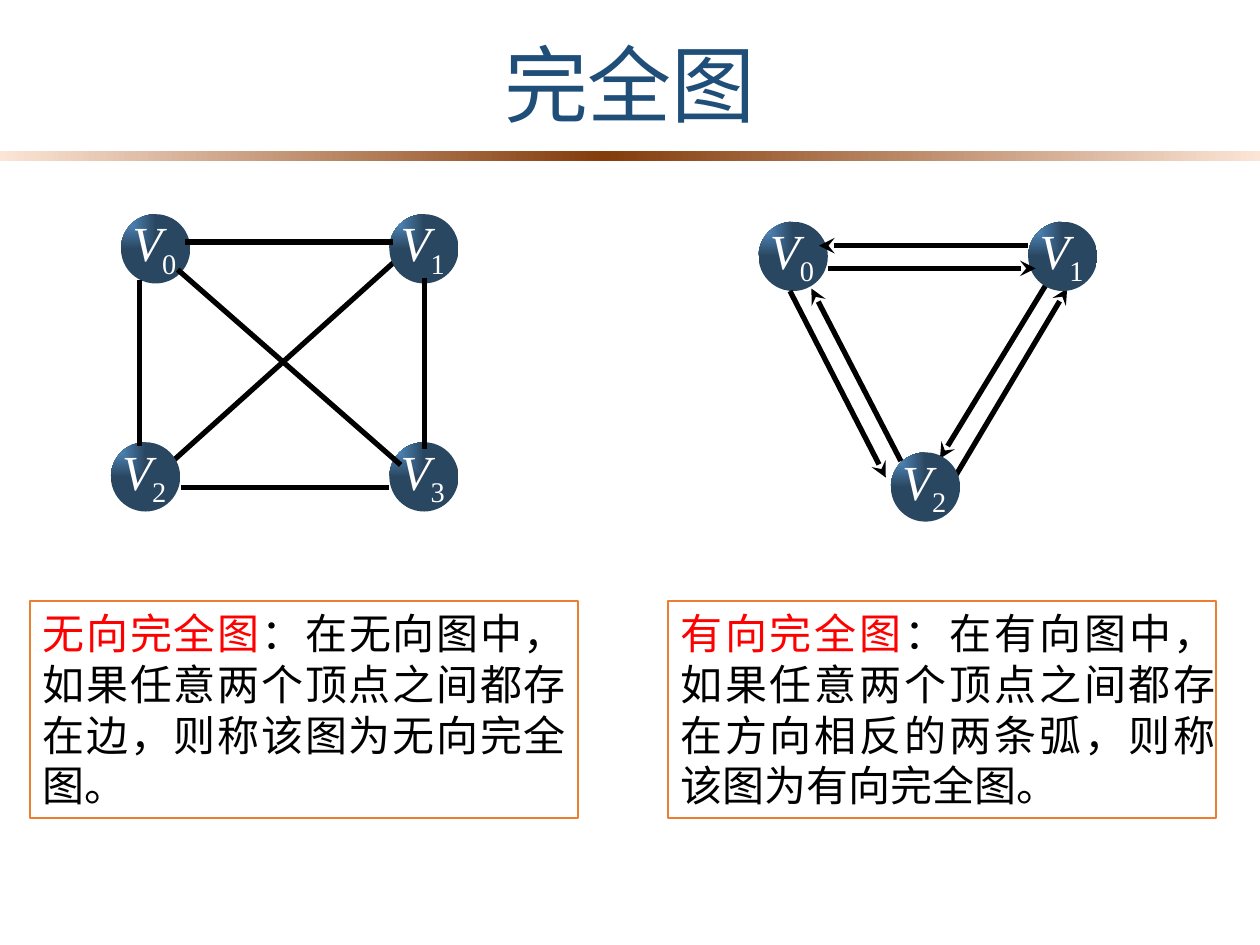
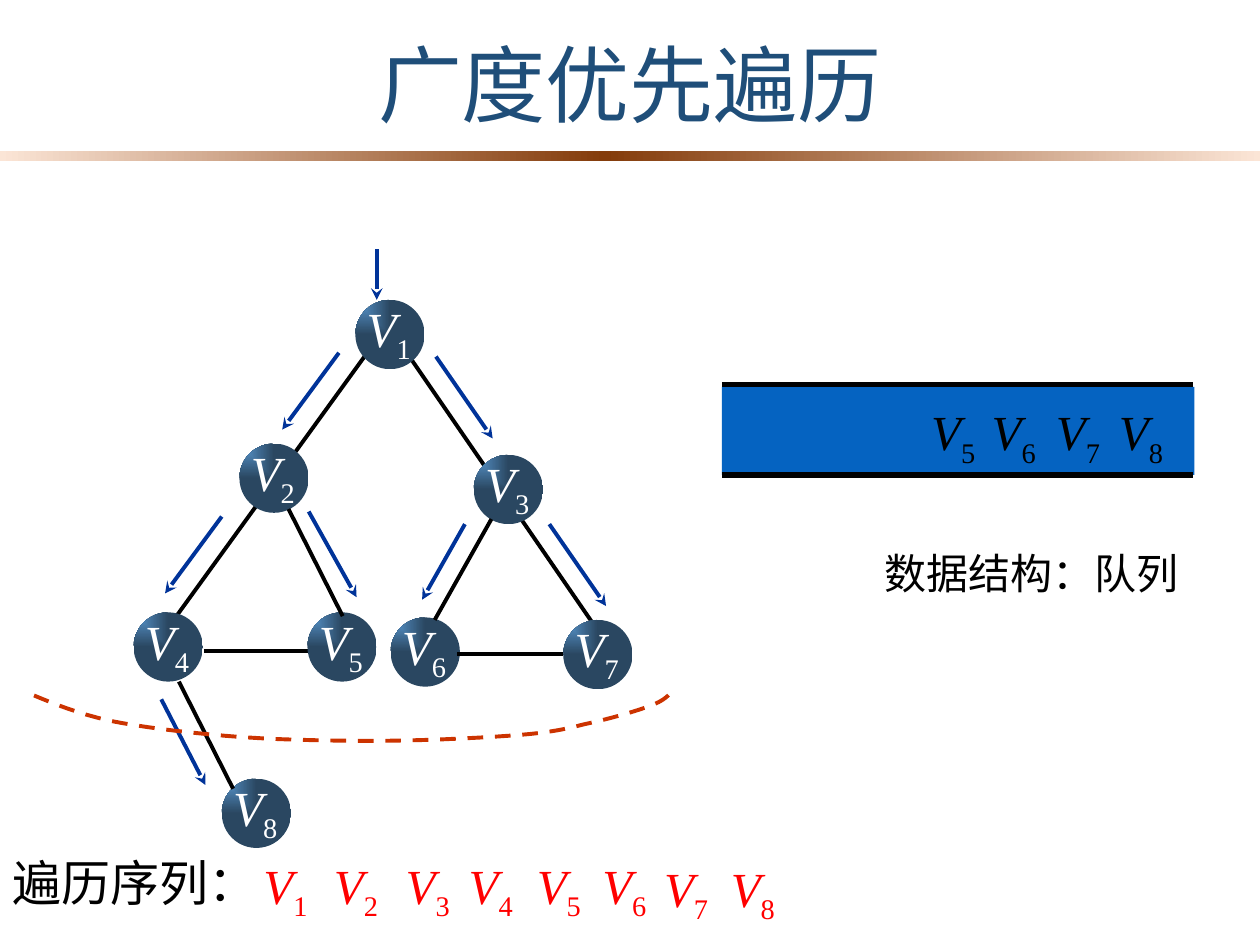
from lxml import etree
from pptx import Presentation
from pptx.dml.color import RGBColor
from pptx.enum.dml import MSO_LINE
from pptx.enum.lang import MSO_LANGUAGE_ID
from pptx.enum.shapes import MSO_CONNECTOR, MSO_SHAPE
from pptx.enum.text import MSO_ANCHOR, MSO_AUTO_SIZE, PP_ALIGN
from pptx.oxml.ns import qn
from pptx.util import Inches, Pt

RECT, OVAL = MSO_SHAPE.RECTANGLE, MSO_SHAPE.OVAL
STRAIGHT, DASH = MSO_CONNECTOR.STRAIGHT, MSO_LINE.DASH
CENTER, JUSTIFY = PP_ALIGN.CENTER, PP_ALIGN.JUSTIFY
MIDDLE, TOP = MSO_ANCHOR.MIDDLE, MSO_ANCHOR.TOP
CHINESE = MSO_LANGUAGE_ID.SIMPLIFIED_CHINESE

BLACK = RGBColor(0x00, 0x00, 0x00)
WHITE = RGBColor(0xFF, 0xFF, 0xFF)
RED = RGBColor(0xFF, 0x00, 0x00)
TEAL = RGBColor(0x1F, 0x4E, 0x79)
ORANGE = RGBColor(0xED, 0x7D, 0x31)
NAVY = RGBColor(0x00, 0x33, 0x99)
RUST = RGBColor(0xCC, 0x33, 0x00)
BLUE = RGBColor(0x05, 0x63, 0xC1)
PEACH = RGBColor(0xFB, 0xE5, 0xD6)
BROWN = RGBColor(0x84, 0x3C, 0x0B)
SKY = RGBColor(0x5B, 0x9B, 0xD5)
SLATE = RGBColor(0x2A, 0x47, 0x61)

SANS, CJK, SERIF = "Arial", "Noto Sans CJK JP", "Times New Roman"
WIDE, HIGH = 10, 7.5
BALL = 0.55


def link(slide, ends, color=BLACK, width=3, arrow=False):
    x1, y1, x2, y2 = map(Inches, ends)
    line = slide.shapes.add_connector(STRAIGHT, x1, y1, x2, y2)
    line.line.color.rgb = color
    line.line.width = Pt(width)
    etree.SubElement(line._element.spPr, qn("a:effectLst"))
    if arrow:
        etree.SubElement(line.line._get_or_add_ln(), qn("a:tailEnd"), type="stealth")


def vertex(slide, x, y, digit, color=WHITE, ball=True):
    """Write V with a subscript, on a shaded ball or alone."""
    spot = (x, y, 0.62, 0.49)
    if ball:
        disc = slide.shapes.add_shape(OVAL, Inches(x), Inches(y), Inches(BALL), Inches(BALL))
        disc.shadow.inherit = False
        disc.line.fill.background()
        disc.fill.gradient()
        for stop, tint in zip(disc.fill.gradient_stops, (SKY, SLATE)):
            stop.color.rgb = tint
        grad = disc._element.spPr.find(qn("a:gradFill"))
        grad.remove(grad.find(qn("a:lin")))
        shade = etree.SubElement(grad, qn("a:path"), path="rect")
        etree.SubElement(shade, qn("a:fillToRect"), r="100000", b="100000")
        spot = (x + 0.07, y - 0.03, 0.51, 0.65)
    frame = slide.shapes.add_textbox(*map(Inches, spot)).text_frame
    frame.word_wrap = True
    frame.margin_left = frame.margin_right = Inches(0.02)
    frame.margin_top = frame.margin_bottom = Inches(0.02)
    para = frame.paragraphs[0]
    for text in ("V", str(digit)):
        run = para.add_run()
        run.text = text
        run.font.name, run.font.size = SERIF, Pt(28)
        run.font.color.rgb = color
        run.font.italic = text == "V"
    run._r.get_or_add_rPr().set("baseline", "-25000")


deck = Presentation()
deck.slide_width, deck.slide_height = Inches(WIDE), Inches(HIGH)

# Shared title and gradient band
for name in ("完全图", "广度优先遍历"):
    slide = deck.slides.add_slide(deck.slide_layouts[5])
    title = slide.shapes.title
    title.left, title.top = Inches(0.9), Inches(0.17)
    title.width, title.height = Inches(8.2), Inches(0.97)
    frame = title.text_frame
    frame.text = name
    frame.auto_size = MSO_AUTO_SIZE.NONE
    frame.vertical_anchor = MIDDLE
    frame.paragraphs[0].alignment = CENTER
    font = frame.paragraphs[0].runs[0].font
    font.name, font.size = SANS, Pt(48)
    font.color.rgb = TEAL

    band = slide.shapes.add_shape(RECT, 0, Inches(1.2), Inches(WIDE), Inches(0.08))
    band.shadow.inherit = False
    band.line.fill.background()
    band.fill.gradient()
    band.fill.gradient_angle = 0
    stops = band._element.spPr.find(qn("a:gradFill")).find(qn("a:gsLst"))
    stops.clear()
    for place, tint in ((0, PEACH), (48, BROWN), (100, PEACH)):
        stop = etree.SubElement(stops, qn("a:gs"), pos=str(place * 1000))
        etree.SubElement(stop, qn("a:srgbClr"), val=str(tint))

full, walk = deck.slides

# Definitions of the two complete graphs
notes = (
    (0.24, 0.1, "无向完全图", "：在无向图中，如果任意两个顶点之间都存在边，则称该图为无向完全图。"),
    (5.3, 0, "有向完全图", "：在有向图中，如果任意两个顶点之间都存在方向相反的两条弧，则称该图为有向完全图。"),
)
for left, inset, term, rest in notes:
    box = full.shapes.add_shape(RECT, Inches(left), Inches(4.77), Inches(4.35), Inches(1.72))
    box.shadow.inherit = False
    box.fill.solid()
    box.fill.fore_color.rgb = WHITE
    box.line.color.rgb = ORANGE
    box.line.width = Pt(1)
    frame = box.text_frame
    frame.word_wrap = True
    frame.vertical_anchor = TOP
    frame.margin_right = Inches(inset)
    para = frame.paragraphs[0]
    para.alignment = JUSTIFY
    for text, color in ((term, RED), (rest, BLACK)):
        run = para.add_run()
        run.text = text
        run.font.name, run.font.size = CJK, Pt(24)
        run.font.color.rgb = color

# Directed graph: arcs under and over the vertices
for ends in ((7.57, 3.8, 8.47, 2.29), (8.32, 2.23, 7.46, 3.64)):
    link(full, ends, arrow=True)
for digit, (x, y) in enumerate(((6.02, 1.76), (8.16, 1.76), (7.07, 3.59))):
    vertex(full, x, y, digit)
for ends in ((6.27, 2.31, 7.03, 3.79), (7.15, 3.66, 6.44, 2.29),
             (6.57, 2.13, 8.22, 2.13), (8.16, 1.95, 6.5, 1.95)):
    link(full, ends, arrow=True)

# Undirected graph
link(full, (3.15, 2.06, 1.36, 3.67))
for digit, (x, y) in enumerate(((0.96, 1.7), (3.09, 1.7), (0.88, 3.51), (3.09, 3.51))):
    vertex(full, x, y, digit)
for ends in ((1.47, 1.92, 3.12, 1.92), (3.37, 2.21, 3.37, 3.56), (1.41, 2.14, 3.18, 3.69),
             (1.11, 2.22, 1.11, 3.54), (1.44, 3.87, 3.09, 3.87)):
    link(full, ends)

# Searched graph: edges under and over the vertices
for ends in ((2.45, 5.17, 1.62, 5.17), (3.27, 2.86, 4.7, 4.94), (2.9, 2.82, 1.4, 4.89)):
    link(walk, ends, width=2.25)
balls = ((2.82, 2.38), (1.9, 3.52), (3.76, 3.61), (1.06, 4.86),
         (2.44, 4.86), (3.1, 4.9), (4.47, 4.92), (1.76, 6.18))
for digit, (x, y) in enumerate(balls, 1):
    vertex(walk, x, y, digit)
for ends in ((2.29, 4.04, 2.72, 4.89), (3.9, 4.12, 3.45, 4.92),
             (4.47, 5.19, 3.63, 5.19), (1.42, 5.41, 1.85, 6.26)):
    link(walk, ends, width=2.25)

# Steps of the search
for ends in ((2.99, 1.98, 2.99, 2.38), (2.69, 2.8, 2.24, 3.41), (3.46, 2.83, 3.91, 3.48),
             (1.76, 4.1, 1.31, 4.71), (2.45, 4.06, 2.83, 4.74), (3.69, 4.16, 3.35, 4.76),
             (4.36, 4.16, 4.81, 4.81), (1.28, 5.55, 1.63, 6.23)):
    link(walk, ends, NAVY, 2.25, True)

# Queue
queue = walk.shapes.add_shape(RECT, Inches(5.73), Inches(3.07), Inches(3.75), Inches(0.7))
queue.shadow.inherit = False
queue.fill.solid()
queue.fill.fore_color.rgb = BLUE
queue.line.fill.background()
for y in (3.05, 3.77):
    link(walk, (5.73, y, 9.47, y))
for digit, x in enumerate((7.37, 7.85, 8.36, 8.86), 5):
    vertex(walk, x, 3.17, digit, BLACK, False)

# Visiting order
for digit, x in enumerate((2.07, 2.63, 3.2, 3.7, 4.24, 4.76, 5.25, 5.78), 1):
    vertex(walk, x, 6.79 if digit > 6 else 6.77, digit, RED, False)

# Captions
for x, y, w, h, size, text in ((0, 6.71, 2.38, 0.57, 28, "遍历序列："),
                               (6.92, 4.29, 2.56, 0.5, 24, "数据结构：队列")):
    frame = walk.shapes.add_textbox(*map(Inches, (x, y, w, h))).text_frame
    frame.word_wrap = True
    frame.text = text
    font = frame.paragraphs[0].runs[0].font
    font.name, font.size = SANS, Pt(size)
    font.color.rgb = BLACK

# Dashed level curve: a chain of Bezier arcs
arcs = (
    ((0.27, 5.52), (0.44, 5.59), (0.61, 5.66), (0.87, 5.72)),
    ((0.87, 5.72), (1.12, 5.77), (1.44, 5.81), (1.79, 5.84)),
    ((1.79, 5.84), (2.13, 5.87), (2.57, 5.88), (2.95, 5.88)),
    ((2.95, 5.88), (3.32, 5.88), (3.75, 5.86), (4.03, 5.84)),
    ((4.03, 5.84), (4.31, 5.82), (4.44, 5.8), (4.63, 5.75)),
    ((4.63, 5.75), (4.82, 5.71), (5.07, 5.64), (5.19, 5.59)),
    ((5.19, 5.59), (5.31, 5.54), (5.32, 5.49), (5.35, 5.47)),
)
dots = []
for arc in arcs:
    for step in range(1, 9):
        t = step / 8
        parts = ((1 - t) ** 3, 3 * t * (1 - t) ** 2, 3 * t * t * (1 - t), t ** 3)
        dots.append([Inches(sum(p * c for p, c in zip(parts, axis))) for axis in zip(*arc)])
pen = walk.shapes.build_freeform(*map(Inches, arcs[0][0]))
pen.add_line_segments(dots, close=False)
curve = pen.convert_to_shape()
curve.shadow.inherit = False
curve.fill.background()
curve.line.color.rgb = RUST
curve.line.width = Pt(2.25)
curve.line.dash_style = DASH

# Chinese text: East Asian font, language and line pitch
for slide in deck.slides:
    for shape in slide.shapes:
        if not shape.has_text_frame:
            continue
        for para in shape.text_frame.paragraphs:
            for run in para.runs:
                if run.font.name != SERIF:
                    run.font.language_id = CHINESE
                    asian = etree.SubElement(run._r.get_or_add_rPr(), qn("a:ea"))
                    asian.set("typeface", CJK)
                    para.line_spacing = Pt(round(run.font.size.pt * 1.2))

deck.save("out.pptx")
